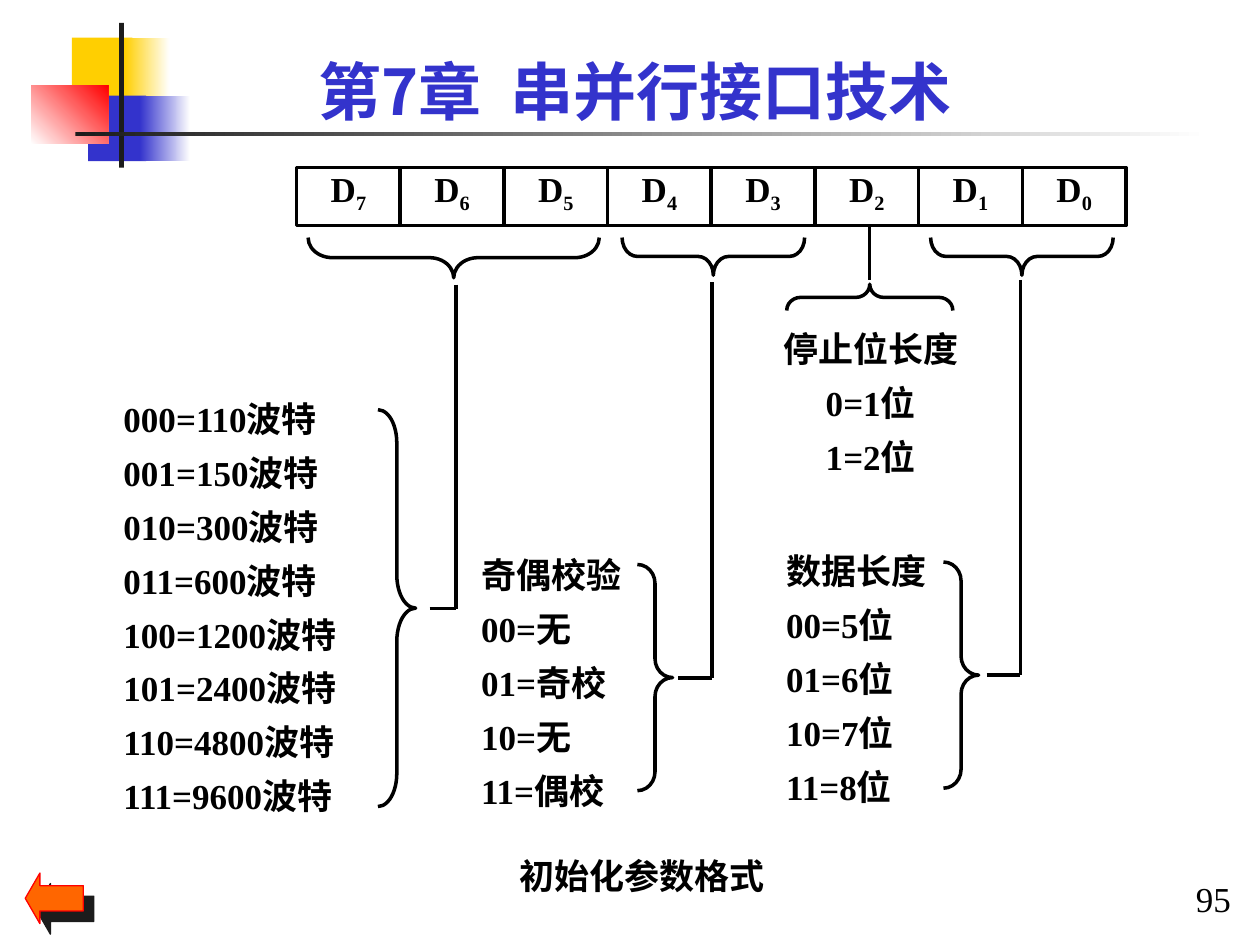
"""Build the slide on the initialisation parameter format of a serial interface."""
from dataclasses import dataclass

from lxml import etree
from pptx import Presentation
from pptx import util as u
from pptx.dml.color import RGBColor
from pptx.enum import shapes, text
from pptx.oxml import ns


@dataclass(frozen=True)
class Theme:
    """Colours, fonts and sizes of the slide."""

    ink: str = "000000"
    dark: str = "1C1C1C"
    blue: str = "3333CC"
    yellow: str = "FFCF01"
    red: str = "FF0000"
    orange: str = "FF6600"
    white: str = "FFFFFF"
    latin: str = "Times New Roman"
    asian: str = "Noto Sans CJK SC"
    title: int = 36
    body: int = 20
    stroke: float = 2
    leading: float = 1.27
    cell_leading: float = 1.35
    list_leading: float = 1.54


THEME = Theme()
KIND = shapes.MSO_SHAPE
ALIGN = text.PP_ALIGN

TITLE = "第7章  串并行接口技术"
CAPTION = "初始化参数格式"
PAGE_NUMBER = "95"
BITS = [7, 6, 5, 4, 3, 2, 1, 0]
BIT_LEFT, BIT_TOP, BIT_WIDTH, BIT_HEIGHT = 5.98, 3.38, 2.09, 1.17

DECOR = [
    ((1.45, 0.76, 1.22, 1.32), [THEME.yellow], 0),
    ((2.51, 0.76, 0.91, 1.32), [THEME.yellow, THEME.white], 0),
    ((1.78, 1.93, 1.17, 1.32), [THEME.blue], 0),
    ((2.82, 1.93, 1.02, 1.32), [THEME.blue, THEME.white], 0),
    ((0.63, 1.72, 1.55, 1.18), [THEME.white, THEME.red], 45),
    ((2.4, 0.46, 0.1, 2.92), [THEME.dark], 0),
    ((1.52, 2.67, 22.86, 0.08), [THEME.dark, THEME.white], 0),
]
BAUD_RATES = [110, 150, 300, 600, 1200, 2400, 4800, 9600]
LISTS = [
    ((2.49, 7.77, 4.98, 9.04), ALIGN.JUSTIFY,
     [f"{code:03b}={rate}波特" for code, rate in enumerate(BAUD_RATES)]),
    ((9.7, 10.92, 3.18, 5.77), ALIGN.JUSTIFY,
     ["奇偶校验", "00=无", "01=奇校", "10=无", "11=偶校"]),
    ((15.85, 10.84, 3.18, 5.77), ALIGN.JUSTIFY,
     ["数据长度", "00=5位", "01=6位", "10=7位", "11=8位"]),
    ((15.42, 6.37, 4.27, 3.3), ALIGN.CENTER,
     ["停止位长度", "0=1位", "1=2位"]),
]
BRACES = [
    ((7.62, 8.26, 0.76, 8), 0),
    ((12.85, 11.38, 0.71, 4.56), 0),
    ((19.02, 11.33, 0.71, 4.56), 0),
    ((8.74, 2.26, 0.81, 5.87), 90),
    ((14, 3.33, 0.76, 3.68), 90),
    ((20.22, 3.33, 0.76, 3.68), 90),
    ((17.27, 4.32, 0.53, 3.35), 270),
]
ELBOWS = [
    (9.19, 5.74, 12.27, 8.66),
    (14.35, 5.69, 13.67, 13.67),
    (20.57, 5.64, 13.61, 19.89),
]
STOP_BIT_LINE = (17.53, 4.55, 17.53, 5.64)


def colour(value):
    return RGBColor.from_string(value)


def add_shape(page, kind, place, fills=(), angle=0, line=None, width=THEME.stroke):
    shape = page.shapes.add_shape(kind, *map(u.Cm, place))
    shape.shadow.inherit = False
    if len(fills) == 2:
        shape.fill.gradient()
        shape.fill.gradient_angle = angle
        for stop, value in zip(shape.fill.gradient_stops, fills):
            stop.color.rgb = colour(value)
    elif fills:
        shape.fill.solid()
        shape.fill.fore_color.rgb = colour(fills[0])
    else:
        shape.fill.background()
    if line:
        shape.line.color.rgb = colour(line)
        shape.line.width = u.Pt(width)
    else:
        shape.line.fill.background()
    return shape


def add_line(page, *ends):
    line = page.shapes.add_connector(shapes.MSO_CONNECTOR.STRAIGHT, *map(u.Cm, ends))
    line.line.color.rgb = colour(THEME.ink)
    line.line.width = u.Pt(THEME.stroke)
    etree.SubElement(line._element.spPr, ns.qn("a:effectLst"))


def add_span(para, words, size, ink, bold, latin, subscript=False):
    span = para.add_run()
    span.text = words
    span.font.size = u.Pt(size)
    span.font.bold = bold
    span.font.color.rgb = colour(ink)
    span.font.name = latin
    props = span._r.get_or_add_rPr()
    props.set("lang", "zh-CN")
    etree.SubElement(props, ns.qn("a:ea")).set("typeface", THEME.asian)
    if subscript:
        props.set("baseline", "-25000")


def write(box, content, *, subscript="", size=THEME.body, ink=THEME.ink, bold=True,
          latin=THEME.latin, align=ALIGN.CENTER, leading=THEME.leading,
          anchor=text.MSO_ANCHOR.TOP, wrap=True):
    frame = box.text_frame
    frame.margin_left = frame.margin_right = frame.margin_top = frame.margin_bottom = 0
    frame.word_wrap = wrap
    frame.vertical_anchor = anchor
    for index, words in enumerate(content.split("\n")):
        para = frame.add_paragraph() if index else frame.paragraphs[0]
        para.alignment = align
        para.line_spacing = u.Pt(size * leading) if leading else None
        add_span(para, words, size, ink, bold, latin)
        if subscript:
            add_span(para, subscript, size, ink, bold, latin, subscript=True)


def add_text(page, place, content, **style):
    write(page.shapes.add_textbox(*map(u.Cm, place)), content, **style)


def add_back_arrow(page):
    arrow = add_shape(page, KIND.LEFT_ARROW, (0.51, 17.6, 1.17, 1.02),
                      [THEME.orange], line=THEME.red, width=0.75)
    arrow.adjustments[1] = 0.29
    effects = arrow._element.spPr.find(ns.qn("a:effectLst"))
    shadow = etree.SubElement(effects, ns.qn("a:outerShdw"), dist=str(u.Pt(8.5)),
                              dir=str(45 * 60000), algn="ctr", rotWithShape="0")
    etree.SubElement(shadow, ns.qn("a:srgbClr"), val=THEME.dark)


def main():
    deck = Presentation()
    deck.slide_width, deck.slide_height = u.Cm(25.4), u.Cm(19.05)
    page = deck.slides.add_slide(deck.slide_layouts[6])

    for place, fills, angle in DECOR:
        add_shape(page, KIND.RECTANGLE, place, fills, angle)
    add_text(page, (23.95, 17.68, 1.02, 0.86), PAGE_NUMBER, bold=False, leading=None,
             anchor=text.MSO_ANCHOR.MIDDLE, wrap=False)
    add_back_arrow(page)
    add_text(page, (3.51, 0.97, 18.59, 1.52), TITLE, size=THEME.title,
             ink=THEME.blue, latin=THEME.asian)

    for index, bit in enumerate(BITS):
        place = (BIT_LEFT + index * BIT_WIDTH, BIT_TOP, BIT_WIDTH, BIT_HEIGHT)
        cell = add_shape(page, KIND.RECTANGLE, place, line=THEME.ink)
        write(cell, "D", subscript=str(bit), leading=THEME.cell_leading)

    for place, turn in BRACES:
        brace = add_shape(page, KIND.RIGHT_BRACE, place, line=THEME.ink)
        brace.adjustments[0] = place[3] / 12 / place[2]
        brace.rotation = turn
    for x, top, bottom, stub in ELBOWS:
        add_line(page, x, top, x, bottom)
        add_line(page, stub, bottom, x, bottom)
    add_line(page, *STOP_BIT_LINE)

    for place, align, rows in LISTS:
        add_text(page, place, "\n".join(rows), align=align, leading=THEME.list_leading)
    add_text(page, (3.96, 17.17, 17.98, 0.84), CAPTION)
    deck.save("out.pptx")


if __name__ == "__main__":
    main()
